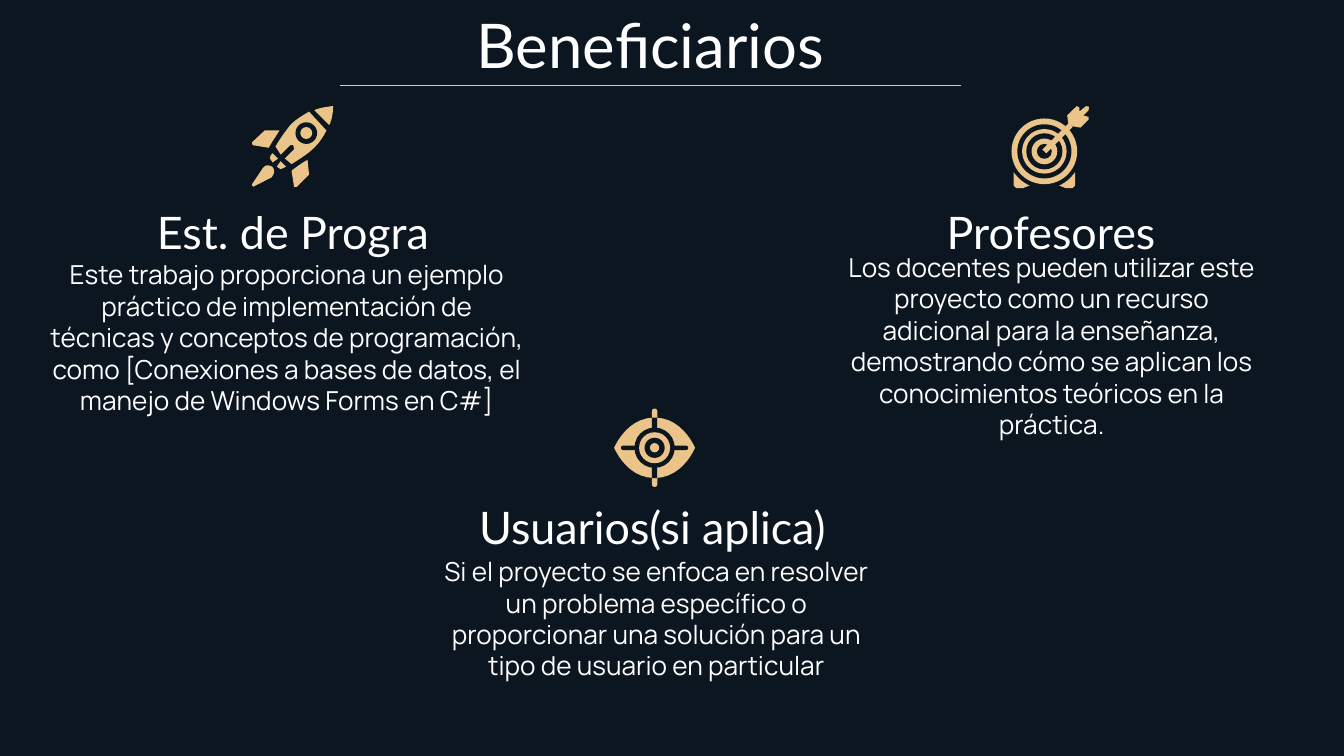
from lxml.etree import SubElement
from pptx import Presentation
from pptx.dml.color import RGBColor
from pptx.enum.shapes import MSO_CONNECTOR, MSO_SHAPE
from pptx.enum.text import MSO_ANCHOR, MSO_AUTO_SIZE, PP_ALIGN
from pptx.oxml.ns import qn
from pptx.util import Pt

COLORS = {"night": "0C1621", "gold": "EAC488", "white": "FFFFFF"}

NOSE = [(43.9, 0), (43.2, 0, 36.7, 0.7, 33.8, 2.2), (41.8, 10.1),
        (43.2, 7.9, 43.9, 3, 43.9, 0)]
BODY = [(31, 2.9), (27.4, 5, 23.8, 7.2, 20.9, 10.1), (18.7, 13, 15.8, 16.6, 13, 21.6),
        (15.8, 25.9), (20.9, 20.9), (22.5, 20.8), (23, 23), (18, 28), (21.6, 31),
        (31, 25.2, 36, 21.6, 40.3, 13)]
LEFT_FIN = [(7.2, 13), (0.4, 19.4), (0.7, 20.9), (9.4, 22.3),
            (10.8, 19.4, 13, 16.6, 15.1, 13)]
RIGHT_FIN = [(30.2, 28.8), (27.4, 30.2, 24.5, 32.4, 21.6, 34.6), (23, 43.2),
             (24.5, 43.2), (31, 36.7)]
FLAME = [(8.6, 31.7), (7.9, 31.7, 6.5, 32.4, 5.8, 33.8), (0.3, 42), (1, 43.2),
         (10.8, 38.2), (13, 36, 13, 31.7, 8.6, 31.7)]
UPPER_NOZZLE = [(11.5, 25.2), (10.5, 26, 10, 27.4, 10.1, 28.1), (11.5, 30.2), (14.4, 28.1)]
LOWER_NOZZLE = [(15.8, 29.5), (13.7, 32.4), (15.8, 33.8), (18.7, 32.4)]
LENS = [(0, 21), (1.4, 18, 8, 4.8, 21.7, 4.8), (35.4, 4.8, 42, 18, 43.4, 21),
        (42, 24, 35.4, 37.2, 21.7, 37.2), (8, 37.2, 1.4, 24, 0, 21)]
FEATHERS = [(39.6, 0), (36, 2.9), (36, 0.7), (34.6, 0), (30.2, 4.3), (29.5, 5),
            (30.2, 9.4), (32.4, 10.8), (36.7, 11.5), (41, 7.2), (41, 5.8),
            (38.2, 5), (41, 2.2), (41.2, 0.3)]
RIGHT_FOOT = [(33.8, 35.3), (31.7, 38.2, 28.8, 41, 25.2, 42.5), (28.8, 43.9),
              (32.4, 43.9), (33.8, 42.5)]
TARGET_CENTER = 17.3
LEFT_FOOT = [tuple(2 * TARGET_CENTER - value if index % 2 == 0 else value
                   for index, value in enumerate(step)) for step in RIGHT_FOOT]


def color(name):
    return RGBColor.from_string(COLORS[name])


def flatten(steps, pieces=10):
    points = [steps[0]]
    for step in steps[1:]:
        if len(step) == 2:
            points.append(step)
            continue
        controls = [points[-1], step[:2], step[2:4], step[4:]]
        for piece in range(1, pieces + 1):
            t = piece / pieces
            weights = ((1 - t) ** 3, 3 * t * (1 - t) ** 2, 3 * t * t * (1 - t), t ** 3)
            points.append(tuple(sum(weight * control[axis]
                                    for weight, control in zip(weights, controls))
                                for axis in (0, 1)))
    return points


class Slide:
    def __init__(self, deck):
        self.page = deck.slides.add_slide(deck.slide_layouts[5])
        self.shapes = self.page.shapes
        self.page.background.fill.solid()
        self.page.background.fill.fore_color.rgb = color("night")
        self.origin = (0, 0)

    def set_text(self, box, text, size, font, spacing=None):
        frame = box.text_frame
        frame.word_wrap = True
        frame.auto_size = MSO_AUTO_SIZE.NONE
        frame.vertical_anchor = MSO_ANCHOR.MIDDLE
        frame.margin_left = frame.margin_right = Pt(7.2)
        frame.margin_top = frame.margin_bottom = Pt(7.2)
        para = frame.paragraphs[0]
        para.text = text
        para.alignment = PP_ALIGN.CENTER
        para.font.name = font
        para.font.size = Pt(size)
        para.font.color.rgb = color("white")
        if spacing:
            para.line_spacing = Pt(spacing)

    def title(self, text, left, top, width, height):
        box = self.shapes.title
        box.left, box.top, box.width, box.height = map(Pt, (left, top, width, height))
        self.set_text(box, text, 33, "Lato")

    def heading(self, text, left, top, width):
        box = self.shapes.add_textbox(*map(Pt, (left, top, width, 26.6)))
        self.set_text(box, text, 24, "Lato")

    def body(self, text, left, top, width):
        box = self.shapes.add_textbox(*map(Pt, (left, top, width, 56.2)))
        self.set_text(box, text, 14, "Manrope", 16.8)

    def line(self, start, end, weight):
        x, y = self.origin
        line = self.shapes.add_connector(
            MSO_CONNECTOR.STRAIGHT, Pt(x + start[0]), Pt(y + start[1]),
            Pt(x + end[0]), Pt(y + end[1]))
        line.line.color.rgb = color("gold")
        line.line.width = Pt(weight)
        SubElement(line._element.spPr, qn("a:effectLst"))

    def paint(self, shape, fill):
        shape.shadow.inherit = False
        shape.fill.solid()
        shape.fill.fore_color.rgb = color(fill)
        shape.line.fill.background()

    def outline(self, steps):
        x, y = self.origin
        points = [(Pt(x + across), Pt(y + down)) for across, down in flatten(steps)]
        builder = self.shapes.build_freeform(*points[0])
        builder.add_line_segments(points[1:])
        self.paint(builder.convert_to_shape(), "gold")

    def centered(self, kind, center, width, height, fill):
        x, y = self.origin
        shape = self.shapes.add_shape(
            kind, Pt(x + center[0] - width / 2), Pt(y + center[1] - height / 2),
            Pt(width), Pt(height))
        self.paint(shape, fill)
        return shape

    def bar(self, center, width, height, fill):
        shape = self.centered(MSO_SHAPE.ROUNDED_RECTANGLE, center, width, height, fill)
        shape.adjustments[0] = 0.5

    def rings(self, center, radii, first_fill):
        fills = ["gold", "night"] if first_fill == "gold" else ["night", "gold"]
        for index, radius in enumerate(radii):
            self.centered(MSO_SHAPE.OVAL, center, 2 * radius, 2 * radius, fills[index % 2])

    def rocket(self, left, top):
        self.origin = (left, top)
        for part in (NOSE, BODY, LEFT_FIN, RIGHT_FIN, FLAME, UPPER_NOZZLE, LOWER_NOZZLE):
            self.outline(part)
        self.rings((29.5, 14.4), (5.8, 3.2), "night")

    def eye(self, left, top):
        self.origin = (left, top)
        center = (21.7, 21)
        self.bar(center, 2.9, 42, "gold")
        self.outline(LENS)
        self.centered(MSO_SHAPE.RECTANGLE, center, 2.9, 32.4, "night")
        self.bar(center, 36, 2.4, "night")
        self.rings(center, (10.8, 8.3, 5.4, 2.5), "night")

    def target(self, left, top):
        self.origin = (left, top)
        center = (TARGET_CENTER, 24.2)
        for foot in (LEFT_FOOT, RIGHT_FOOT):
            self.outline(foot)
        self.rings(center, (17.6, 14.5, 11.9, 9.7, 6.9, 4), "gold")
        self.line(center, (31.5, 10), 2.9)
        self.outline(FEATHERS)


def main():
    deck = Presentation()
    deck.slide_width, deck.slide_height = Pt(720), Pt(405)
    slide = Slide(deck)
    slide.title("Beneficiarios", 44.6, 5, 607.7, 37.4)
    slide.line((182.2, 45.8), (514.8, 45.8), 0.75)

    slide.rocket(134.6, 56.9)
    slide.heading("Est. de Progra", 72.7, 110.9, 168.5)
    slide.body("Este trabajo proporciona un ejemplo práctico de implementación de técnicas y "
               "conceptos de programación, como [Conexiones a bases de datos, el manejo de "
               "Windows Forms en C#]", 18.7, 152.6, 270)

    slide.eye(329, 218.9)
    slide.heading("Usuarios(si aplica)", 247.7, 268.6, 203.8)
    slide.body("Si el proyecto se enfoca en resolver un problema específico o proporcionar "
               "una solución para un tipo de usuario en particular", 224.6, 303.1, 254.2)

    slide.target(542.2, 56.9)
    slide.heading("Profesores", 478.8, 110.9, 168.5)
    slide.body("Los docentes pueden utilizar este proyecto como un recurso adicional para la "
               "enseñanza, demostrando cómo se aplican los conocimientos teóricos en la "
               "práctica.", 442.8, 157, 241.2)
    deck.save("out.pptx")


if __name__ == "__main__":
    main()
